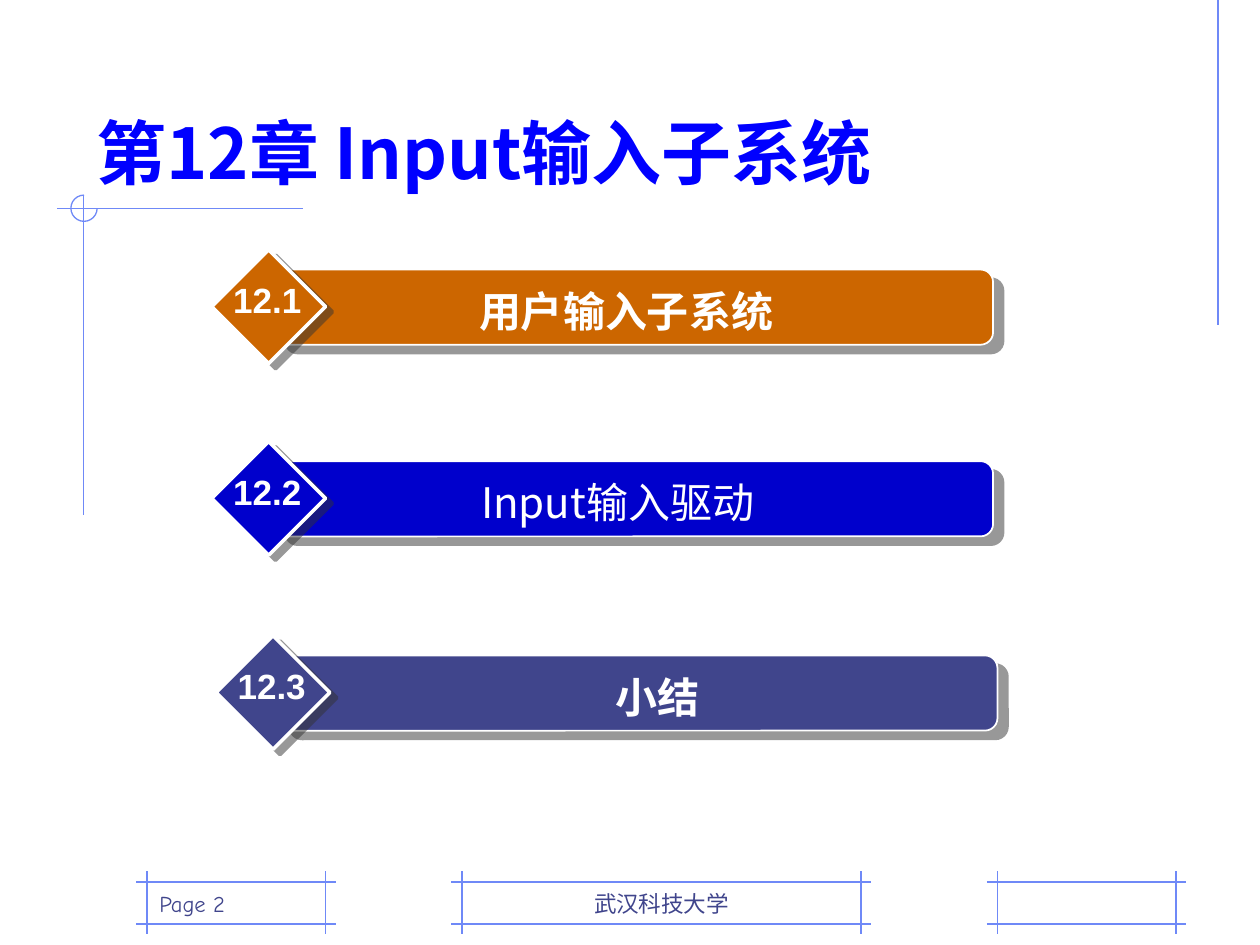
from lxml import etree
from pptx import Presentation
from pptx.dml.color import RGBColor
from pptx.enum.shapes import MSO_CONNECTOR, MSO_SHAPE
from pptx.enum.text import MSO_ANCHOR, PP_ALIGN
from pptx.oxml.ns import qn
from pptx.util import Pt

LINE = MSO_CONNECTOR.STRAIGHT
ARC, BAR = MSO_SHAPE.ARC, MSO_SHAPE.ROUNDED_RECTANGLE
GEM, RECT = MSO_SHAPE.DIAMOND, MSO_SHAPE.RECTANGLE
TOP, LOW = MSO_ANCHOR.TOP, MSO_ANCHOR.BOTTOM
LEFT, MID = PP_ALIGN.LEFT, PP_ALIGN.CENTER

HUES = {"rule": "6F89F7", "title": "0000FF", "white": "FFFFFF",
        "shade": "333333", "orange": "CC6600", "blue": "0000CC",
        "slate": "40458C"}
SANS, COMIC, ARIAL = "Noto Sans CJK JP", "Comic Neue", "Arial"

# left and top of the bar, hue, number, label, bold, plate offset and width
ROWS = [
    (157, 154, "orange", "12.1", " 用户输入子系统", True, 36, 324),
    (157, 263.5, "blue", "12.2", "Input输入驱动", False, 34, 324),
    (159.5, 374.5, "slate", "12.3", "小结", True, 39.5, 353),
]
# left, width, text, alignment
FRAMES = [(264, 228, "武汉科技大学", MID), (570, 102, "", LEFT),
          (84, 102, "Page 2", LEFT)]
FOOT, DEEP, EDGE = 504, 24, 6


def rgb(hue):
    return RGBColor.from_string(HUES[hue])


def assign(item, look):
    for key, value in look.items():
        setattr(item, key, value)


def write(shape, text, face, size, hue, bold=False, align=MID, anchor=TOP,
          wrap=True):
    frame = shape.text_frame
    assign(frame, {"word_wrap": wrap, "vertical_anchor": anchor})
    para = frame.paragraphs[0]
    para.alignment = align
    run = para.add_run()
    run.text = text
    assign(run.font, {"name": face, "size": Pt(size), "bold": bold})
    run.font.color.rgb = rgb(hue)
    east = etree.SubElement(run.font._element, qn("a:ea"))
    east.set("typeface", face)
    return para


def rule(shapes, x1, y1, x2, y2):
    line = shapes.add_connector(LINE, Pt(x1), Pt(y1), Pt(x2), Pt(y2))
    line.line.color.rgb = rgb("rule")
    line.line.width = Pt(0.75)
    etree.SubElement(line._element.spPr, qn("a:effectLst"))


def block(shapes, kind, box, fill=None, edge=None, width=1):
    shape = shapes.add_shape(kind, *map(Pt, box))
    shape.shadow.inherit = False
    if fill:
        shape.fill.solid()
        shape.fill.fore_color.rgb = rgb(fill)
    else:
        shape.fill.background()
    if edge:
        shape.line.color.rgb = rgb(edge)
        shape.line.width = Pt(width)
    else:
        shape.line.fill.background()
    return shape


def shade(shape, dist, angle):
    """Cast a hard, half-clear shadow; dist in points, angle in degrees."""
    effects = shape._element.spPr.find(qn("a:effectLst"))
    cast = etree.SubElement(effects, qn("a:outerShdw"), dist=str(Pt(dist)),
                            dir=str(angle * 60000), algn="ctr",
                            rotWithShape="0")
    tint = etree.SubElement(cast, qn("a:srgbClr"), val=HUES["shade"])
    etree.SubElement(tint, qn("a:alpha"), val="50000")


def label(shapes, box, *args, **look):
    return write(shapes.add_textbox(*map(Pt, box)), *args, **look)


def trim(slide):
    """Draw the rules and the open circle around the title."""
    shapes = slide.shapes.add_group_shape().shapes
    rule(shapes, 696, 0, 696, 186)
    rule(shapes, 173, 119.25, 32.5, 119.25)
    rule(shapes, 47.75, 111.5, 47.75, 294.5)
    ring = block(shapes, ARC, (40.5, 111.5, 15, 15), edge="rule", width=0.75)
    ring.adjustments[0] = 0
    ring.adjustments[1] = 162  # 270 degrees


def footer(slide, x, wide, text, align):
    shapes = slide.shapes.add_group_shape().shapes
    for y in (FOOT, FOOT + DEEP):
        rule(shapes, x - EDGE, y, x + wide + EDGE, y)
    for side in (x, x + wide):
        rule(shapes, side, FOOT - EDGE, side, FOOT + DEEP + EDGE)
    if text:
        para = label(slide.shapes, (x, FOOT, wide, DEEP), text, COMIC, 12.9,
                     "slate", align=align, anchor=LOW)
        para.line_spacing = 0.9


def row(slide, x, y, hue, num, text, bold, shift, wide):
    shapes = slide.shapes.add_group_shape().shapes
    bar = block(shapes, BAR, (x, y, 410.5, 43), hue, "white")
    bar.adjustments[0] = 0.167
    shade(bar, 7.8, 40)
    gem = block(shapes, GEM, (x - 36, y - 11.25, 65, 65), hue, "white", 2)
    shade(gem, 5, 37)
    plate = block(shapes, RECT, (x + shift, y + 5.5, wide, 36), hue)
    write(plate, text, SANS, 24, "white", bold)
    label(shapes, (x - 31, y + 1.75, 53.5, 31.5), num, ARIAL, 20, "white",
          bold=True, wrap=False)


def main():
    deck = Presentation()
    assign(deck, {"slide_width": Pt(720), "slide_height": Pt(540)})
    slide = deck.slides.add_slide(deck.slide_layouts[5])
    title = slide.shapes.title
    place = {"left": 48, "top": 24, "width": 612, "height": 90}
    assign(title, {key: Pt(value) for key, value in place.items()})
    write(title, "第12章 Input输入子系统", SANS, 40, "title", True, LEFT, LOW)
    trim(slide)
    for frame in FRAMES:
        footer(slide, *frame)
    for entry in ROWS:
        row(slide, *entry)
    deck.save("out.pptx")


if __name__ == "__main__":
    main()
